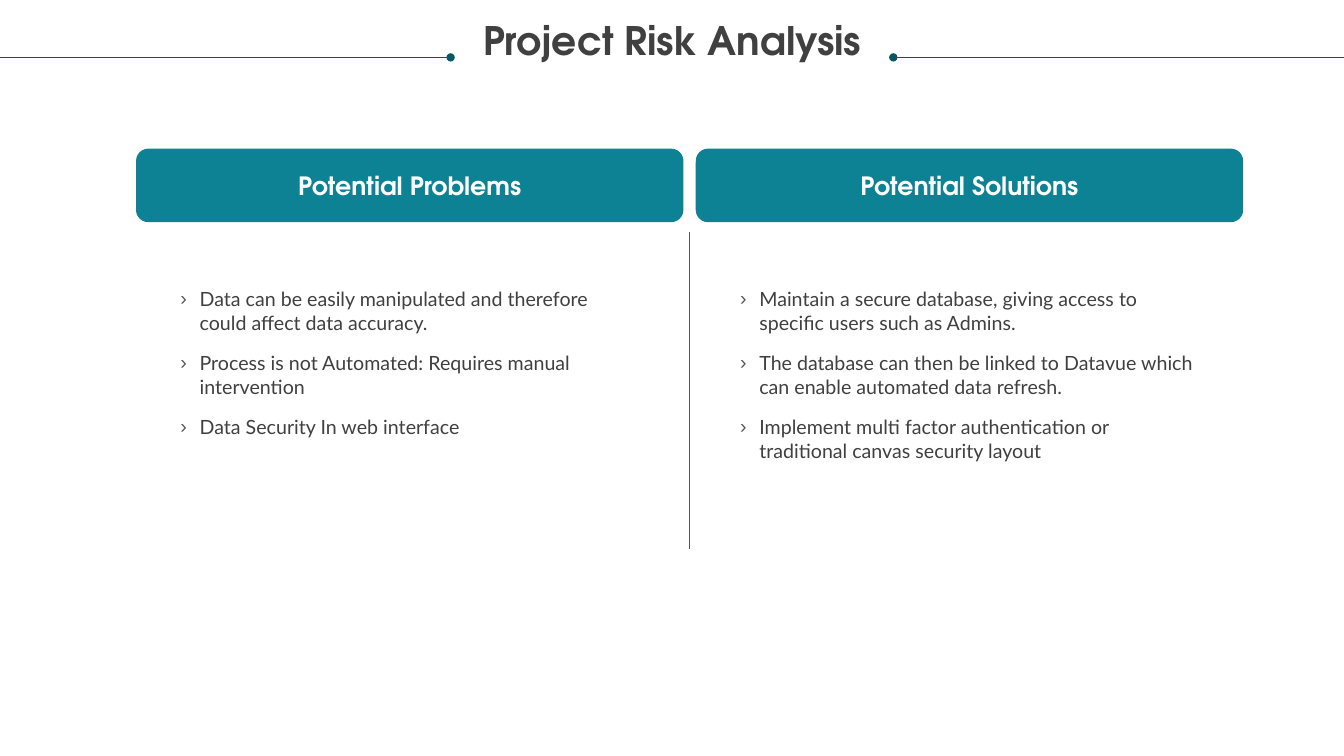
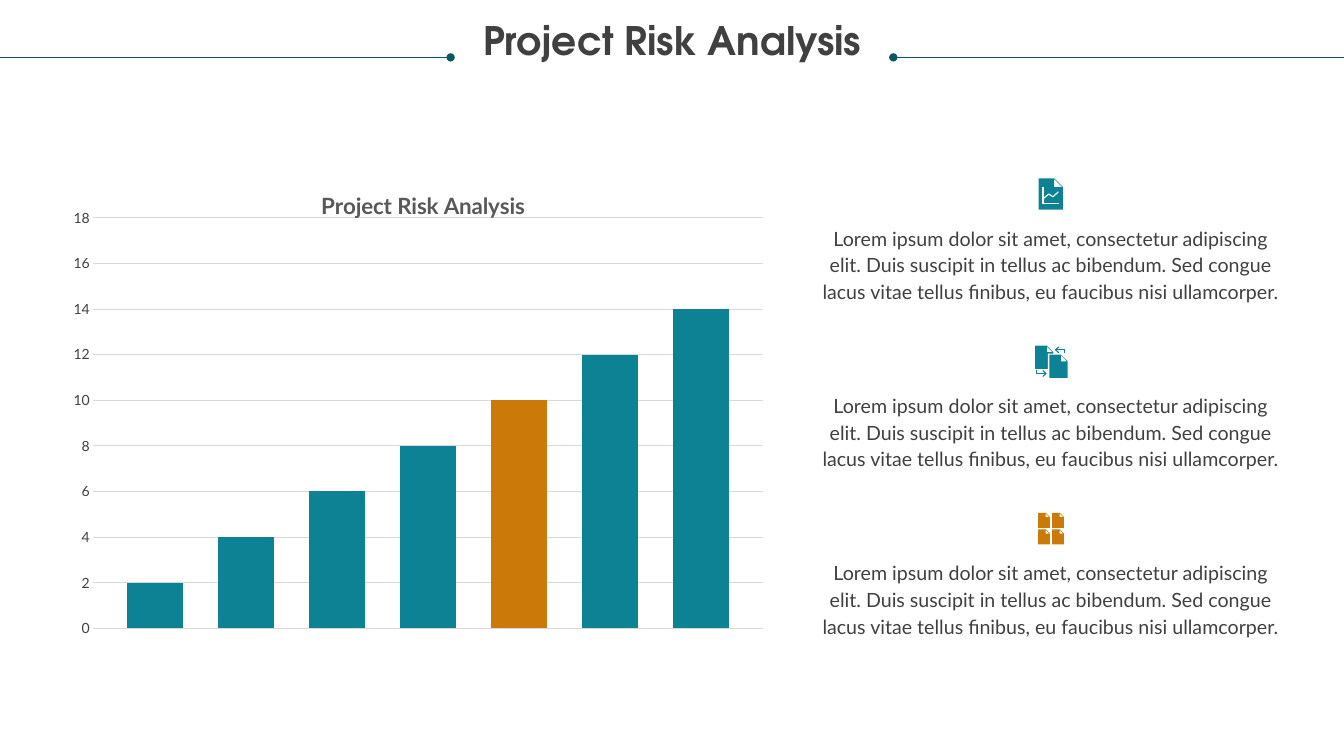
import dataclasses

import pptx
import pptx.chart.data
import pptx.dml.color
import pptx.enum.chart
import pptx.enum.shapes
import pptx.enum.text
import pptx.oxml
import pptx.oxml.ns
import pptx.util

HEADING = "Project Risk Analysis"
COLUMNS = [
    ("Potential Problems", [
        "Data can be easily manipulated and therefore could affect data accuracy.",
        "Process is not Automated: Requires manual intervention",
        "Data Security In web interface",
    ]),
    ("Potential Solutions", [
        "Maintain a secure database, giving access to specific users such as Admins.",
        "The database can then be linked to Datavue which can enable automated data refresh.",
        "Implement multi factor authentication or traditional canvas security layout",
    ]),
]
RISKS = {f"Series {n}": 2 * n for n in range(1, 8)}
HIGHLIGHT = "Series 5"
CAPTION = ("Lorem ipsum dolor sit amet, consectetur adipiscing elit. Duis suscipit in tellus "
           "ac bibendum. Sed congue lacus vitae tellus finibus, eu faucibus nisi ullamcorper.")

# Icons: offsets in points from the top centre of each icon.
REPORT_AXES = [(-5.6, 6.5), (-5.6, 18), (5.7, 18)]
REPORT_TREND = [(-5.2, 14.4), (-1.5, 11.2), (1.6, 13.2), (5.4, 9.6)]
SWAP_ARROW = [[(10, 5.6), (10, 3), (3.4, 3)], [(5.7, 0.9), (3.4, 3), (5.7, 5.1)]]
SWAP_BACK = [[(-x, 22.9 - y) for x, y in stroke] for stroke in SWAP_ARROW]
ICONS = [
    {"pages": [(-8.7, 0, 17.3, 22.3, "teal")],
     "strokes": [REPORT_AXES, REPORT_TREND], "ink": "white"},
    {"pages": [(-11.2, 0, 13, 16.6, "teal"), (-2, 5.6, 14, 17.5, "white"),
               (-1.1, 6.5, 13, 16.6, "teal")],
     "strokes": SWAP_ARROW + SWAP_BACK, "ink": "teal"},
    {"pages": [(x, y, 8.4, 10.6, "orange") for y in (0, 11.8) for x in (-9, 1)],
     "strokes": [], "ink": "orange"},
]


@dataclasses.dataclass(frozen=True)
class Theme:
    """Colours, fonts and type sizes shared by the slides."""
    teal: str = "0D8295"
    deep: str = "085764"
    orange: str = "CB7A09"
    ink: str = "404040"
    grey: str = "585858"
    grid: str = "D9D9D9"
    white: str = "FFFFFF"
    display: str = "TeX Gyre Adventor"
    text: str = "Lato"
    title_size: int = 28
    header_size: int = 18
    chart_title_size: int = 16
    body_size: int = 14
    axis_size: int = 10


THEME = Theme()
Pt = pptx.util.Pt
WIDTH, HEIGHT = 960, 540
ALIGN = pptx.enum.text.PP_ALIGN
FRAME = {"margin_left": 0, "margin_top": 0, "margin_right": 0, "margin_bottom": 0,
         "word_wrap": True, "auto_size": pptx.enum.text.MSO_AUTO_SIZE.NONE,
         "vertical_anchor": pptx.enum.text.MSO_ANCHOR.TOP}


def rgb(value):
    """Turn a hex string into a colour."""
    return pptx.dml.color.RGBColor.from_string(value)


def assign(target, values):
    """Set each attribute named in a dict of format values."""
    for key, value in values.items():
        setattr(target, key, value)


def style(font, size, color, name=THEME.text, bold=False):
    """Format a font."""
    assign(font, {"size": Pt(size), "name": name, "bold": bold})
    font.color.rgb = rgb(color)


def move(shape, left, top, width, height):
    """Put a shape at a place given in points."""
    assign(shape, {"left": Pt(left), "top": Pt(top), "width": Pt(width), "height": Pt(height)})


def add_xml(parent, tag, index=None, **attributes):
    """Add a child element, at the end or at an index."""
    child = pptx.oxml.parse_xml(f"<{tag} {pptx.oxml.ns.nsdecls(tag.split(':')[0])}/>")
    for key, value in attributes.items():
        child.set(key, str(value))
    parent.insert(len(parent) if index is None else index, child)
    return child


def paint(shape, color):
    """Give a shape a flat fill without line or shadow."""
    shape.shadow.inherit = False
    shape.fill.solid()
    shape.fill.fore_color.rgb = rgb(color)
    shape.line.fill.background()


def add_rule(slide, start, end, color, dot=False):
    """Draw a thin line, with an optional dot at its end."""
    rule = slide.shapes.add_connector(pptx.enum.shapes.MSO_CONNECTOR.STRAIGHT,
                                      *map(Pt, start + end))
    rule.line.width = Pt(0.5)
    rule.line.color.rgb = rgb(color)
    if dot:
        add_xml(rule.line._get_or_add_ln(), "a:tailEnd", type="oval")
    add_xml(rule._element.spPr, "a:effectLst")


def add_titled_slide(deck, layout):
    """Add a slide with the title between two dotted rules."""
    slide = deck.slides.add_slide(deck.slide_layouts[layout])
    title = slide.shapes.title
    move(title, 18, 15.1, WIDTH - 36, 52.6)
    assign(title.text_frame, FRAME)
    title.text_frame.text = HEADING
    line = title.text_frame.paragraphs[0]
    assign(line, {"alignment": ALIGN.CENTER, "line_spacing": 0.9})
    style(line.runs[0].font, THEME.title_size, THEME.ink, THEME.display, True)
    rule_y, reach = 41, 321.9
    for edge, inner in ((0, reach), (WIDTH, WIDTH - reach)):
        add_rule(slide, (edge, rule_y), (inner, rule_y), THEME.deep, dot=True)
    return slide


def fill_list(holder, points):
    """Write a bulleted list into a body placeholder."""
    frame, indent = holder.text_frame, Pt(13.7)
    assign(frame, FRAME)
    frame.text = "\n".join(points)
    for point in frame.paragraphs:
        assign(point, {"space_before": Pt(12), "alignment": ALIGN.LEFT})
        style(point.runs[0].font, THEME.body_size, THEME.ink)
        layout = point._p.get_or_add_pPr()
        layout.set("marL", str(indent))
        layout.set("indent", str(-indent))
        add_xml(add_xml(layout, "a:buClr"), "a:srgbClr", val=THEME.grey)
        add_xml(layout, "a:buChar", char="\u203a")


def build_comparison(deck):
    """Build the slide of problems and solutions."""
    slide = add_titled_slide(deck, 3)
    left, width, gap = 97.2, 391, 8.8
    for index, (header, points) in enumerate(COLUMNS):
        x = left + index * (width + gap)
        band = slide.shapes.add_shape(pptx.enum.shapes.MSO_SHAPE.ROUNDED_RECTANGLE,
                                      *map(Pt, (x, 106.2, width, 52.5)))
        paint(band, THEME.teal)
        band.text_frame.text = header
        band.text_frame.vertical_anchor = pptx.enum.text.MSO_ANCHOR.MIDDLE
        line = band.text_frame.paragraphs[0]
        line.alignment = ALIGN.CENTER
        style(line.runs[0].font, THEME.header_size, THEME.white, THEME.display, True)
        holder = slide.placeholders[index + 1]
        move(holder, x + 31.7, 205.2, 327.6, 172)
        fill_list(holder, points)
    middle = left + width + gap / 2
    add_rule(slide, (middle, 165.6), (middle, 392.4), THEME.grey)


def set_layout(parent, index, **values):
    """Give a chart part a manual layout in fractions."""
    for old in parent.findall(pptx.oxml.ns.qn("c:layout")):
        parent.remove(old)
    manual = add_xml(add_xml(parent, "c:layout", index), "c:manualLayout")
    for key, value in values.items():
        add_xml(manual, f"c:{key}", val=value)


def add_risk_chart(slide):
    """Add the column chart, one series for each column."""
    numbers = pptx.chart.data.CategoryChartData()
    numbers.categories = ["1"]
    for name, value in RISKS.items():
        numbers.add_series(name, [value])
    chart = slide.shapes.add_chart(pptx.enum.chart.XL_CHART_TYPE.COLUMN_CLUSTERED,
                                   *map(Pt, (41, 118.8, 515.5, 344.2)), numbers).chart
    style(chart.font, THEME.axis_size, THEME.ink)
    assign(chart, {"has_legend": False, "has_title": True})
    chart.chart_title.text_frame.text = HEADING
    style(chart.chart_title.text_frame.paragraphs[0].runs[0].font,
          THEME.chart_title_size, THEME.grey, bold=True)
    set_layout(chart.chart_title._element, 1, xMode="edge", yMode="edge", x=0.36, y=0.04)
    set_layout(chart._chartSpace.chart.plotArea, 0, layoutTarget="inner", xMode="edge",
               yMode="edge", x=0.05, y=0.107, w=0.928, h=0.852)
    plot = chart.plots[0]
    assign(plot, {"gap_width": 121, "overlap": -63, "vary_by_categories": False})
    for column in plot.series:
        column.format.fill.solid()
        column.format.fill.fore_color.rgb = rgb(
            THEME.orange if column.name == HIGHLIGHT else THEME.teal)
    chart.category_axis.visible = False
    scale = chart.value_axis
    assign(scale, {"minimum_scale": 0, "maximum_scale": 18, "major_unit": 2,
                   "major_tick_mark": pptx.enum.chart.XL_TICK_MARK.NONE,
                   "has_major_gridlines": True})
    scale.format.line.fill.background()
    style(scale.tick_labels.font, THEME.axis_size, THEME.ink)
    scale.major_gridlines.format.line.width = Pt(0.75)
    scale.major_gridlines.format.line.color.rgb = rgb(THEME.grid)


def trace(slide, contours, close):
    """Build one freeform from contours given in points."""
    contours = [[(Pt(x), Pt(y)) for x, y in contour] for contour in contours]
    pen = slide.shapes.build_freeform(*contours[0][0])
    for index, contour in enumerate(contours):
        if index:
            pen.move_to(*contour[0])
        pen.add_line_segments(contour[1:], close=close)
    return pen.convert_to_shape()


def add_icon(slide, center, top, icon):
    """Draw the folded pages of an icon and the strokes on them."""
    for dx, dy, width, height, color in icon["pages"]:
        x, y, fold, edge = center + dx, top + dy, 0.36 * width, 0.5
        right, bottom = x + width, y + height
        sheet = [(x, y), (right - fold, y), (right, y + fold), (right, bottom), (x, bottom)]
        corner = [(right - fold, y + edge), (right - fold, y + fold), (right - edge, y + fold)]
        paint(trace(slide, [sheet, corner], True), getattr(THEME, color))
    for stroke in icon["strokes"]:
        mark = trace(slide, [[(center + x, top + y) for x, y in stroke]], False)
        mark.shadow.inherit = False
        mark.fill.background()
        mark.line.width = Pt(0.8)
        mark.line.color.rgb = rgb(getattr(THEME, icon["ink"]))


def build_chart_slide(deck):
    """Build the slide with the chart and three captions."""
    slide = add_titled_slide(deck, 5)
    add_risk_chart(slide)
    left, width, first, pitch = 582.5, 336.2, 127.4, 119.5
    for index, icon in enumerate(ICONS):
        top = first + index * pitch
        add_icon(slide, left + width / 2, top, icon)
        caption = slide.shapes.add_textbox(*map(Pt, (left, top + 32.4, width, 56.2)))
        assign(caption.text_frame, FRAME)
        caption.text_frame.text = CAPTION
        line = caption.text_frame.paragraphs[0]
        assign(line, {"alignment": ALIGN.CENTER, "line_spacing": Pt(19)})
        style(line.runs[0].font, THEME.body_size, THEME.ink)


def main():
    """Build and save the presentation."""
    deck = pptx.Presentation()
    assign(deck, {"slide_width": Pt(WIDTH), "slide_height": Pt(HEIGHT)})
    build_comparison(deck)
    build_chart_slide(deck)
    deck.save("out.pptx")


main()
